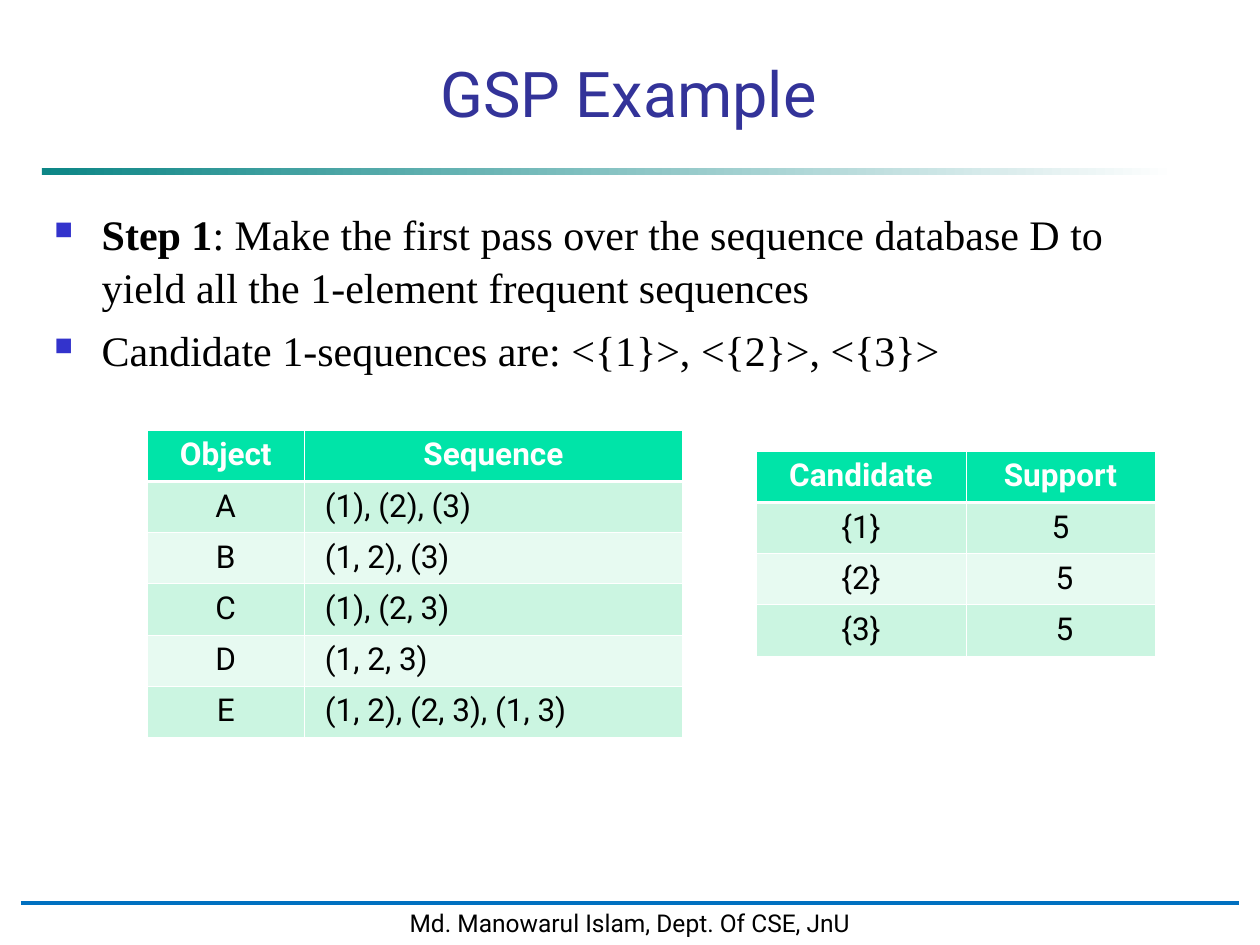
"""Build the GSP Example slide with its sequence and support tables."""
from lxml.etree import SubElement
from pptx import Presentation
from pptx.dml.color import RGBColor
from pptx.enum.shapes import MSO_CONNECTOR as CONN, MSO_SHAPE as SHAPE
from pptx.enum.text import MSO_ANCHOR as ANCHOR, PP_ALIGN as ALIGN
from pptx.oxml.ns import qn
from pptx.util import Pt


def rgb(color):
    return RGBColor.from_string(color)


def style(p, size, color, font="Roboto", bold=False, align=ALIGN.CENTER):
    p.alignment = align
    for r in p.runs:
        r.font.name, r.font.size, r.font.bold = font, Pt(size), bold
        r.font.color.rgb = rgb(color)


prs = Presentation()
prs.slide_width, prs.slide_height = Pt(720), Pt(540)
slide = prs.slides.add_slide(prs.slide_layouts[6])

s = slide.shapes.add_shape(SHAPE.RECTANGLE, Pt(24), Pt(96), Pt(648), Pt(4))
s.shadow.inherit = False
s.line.fill.background()
s.fill.gradient()
s.fill.gradient_angle = 0
for stop, color in zip(s.fill.gradient_stops, ("008080", "FFFFFF")):
    stop.color.rgb = rgb(color)
for clr in s._element.spPr.iter(qn("a:srgbClr")):
    SubElement(clr, qn("a:alpha"), val="95000")

s = slide.shapes.add_shape(SHAPE.RECTANGLE, Pt(12), Pt(515), Pt(696), Pt(24))
s.shadow.inherit = False
s.fill.solid()
s.fill.fore_color.rgb = rgb("FFFFFF")
s.line.color.rgb = rgb("FFFFFF")
s.line.width = Pt(2)
tf = s.text_frame
tf.word_wrap = False
tf.text = "Md. Manowarul Islam, Dept. Of CSE, JnU"
style(tf.paragraphs[0], 14, "000000")

s = slide.shapes.add_connector(CONN.STRAIGHT, Pt(12), Pt(516), Pt(708), Pt(516))
s.line.color.rgb = rgb("0070C0")
s.line.width = Pt(1.75)
SubElement(s._element.spPr, qn("a:effectLst"))

tf = slide.shapes.add_textbox(Pt(48), Pt(30), Pt(613.5), Pt(48)).text_frame
tf.word_wrap = True
tf.vertical_anchor = ANCHOR.BOTTOM
tf.margin_left = Pt(16)
tf.text = "GSP Example"
style(tf.paragraphs[0], 36, "333399")

tf = slide.shapes.add_textbox(Pt(24), Pt(114), Pt(660), Pt(156)).text_frame
tf.word_wrap = True
tf.text = "Step 1"
tf.paragraphs[0].add_run().text = (
    ": Make the first pass over the sequence database D to"
    " yield all the 1-element frequent sequences")
tf.add_paragraph().text = "Candidate 1-sequences are: <{1}>, <{2}>, <{3}>"
for p in tf.paragraphs:
    pPr = p._p.get_or_add_pPr()
    pPr.set("marL", str(Pt(27)))
    pPr.set("indent", str(-Pt(27)))
    SubElement(SubElement(pPr, qn("a:buClr")), qn("a:srgbClr"), val="3333CC")
    SubElement(pPr, qn("a:buSzPct"), val="60000")
    SubElement(pPr, qn("a:buChar"), char="■")
    p.line_spacing = 1.05
    style(p, 24, "000000", "Times New Roman", align=ALIGN.LEFT)
tf.paragraphs[0].runs[0].font.bold = True
tf.paragraphs[1].space_before = Pt(6)

sequences = [
    ("Object", "Sequence"),
    ("A", "(1), (2), (3)"),
    ("B", "(1, 2), (3)"),
    ("C", "(1), (2, 3)"),
    ("D", "(1, 2, 3)"),
    ("E", "(1, 2), (2, 3), (1, 3)"),
]
supports = [("Candidate", "Support"), ("{1}", "5"), ("{2}", "5"), ("{3}", "5")]
tables = [
    (84, 246, (90, 216), sequences, ALIGN.LEFT, 1),
    (432, 258, (120, 108), supports, ALIGN.CENTER, 2),
]
row_height = 29.2
for left, top, widths, rows, value_align, first_inset in tables:
    s = slide.shapes.add_table(len(rows), 2, Pt(left), Pt(top),
                               Pt(sum(widths)), Pt(row_height * len(rows)))
    table = s.table
    for column, width in zip(table.columns, widths):
        column.width = Pt(width)
    for i, row in enumerate(rows):
        table.rows[i].height = Pt(row_height)
        for j, text in enumerate(row):
            cell = table.cell(i, j)
            tcPr = cell._tc.get_or_add_tcPr()
            for side in "LRTB":
                thick = (i, side) in ((0, "B"), (1, "T"))
                ln = SubElement(tcPr, qn("a:ln" + side),
                                w=str(Pt(1.5 if thick else 0.45)))
                fill = SubElement(ln, qn("a:solidFill"))
                SubElement(fill, qn("a:srgbClr"), val="FFFFFF")
            cell.fill.solid()
            cell.fill.fore_color.rgb = rgb(
                "00E4A8" if i == 0 else "CBF5E1" if i % 2 else "E7FAF1")
            cell.text_frame.text = text
            if j == 1 and i >= first_inset:
                cell.margin_left = Pt(11.7)
            style(cell.text_frame.paragraphs[0], 18,
                  "000000" if i else "FFFFFF", bold=i == 0,
                  align=value_align if i and j else ALIGN.CENTER)

prs.save("out.pptx")
